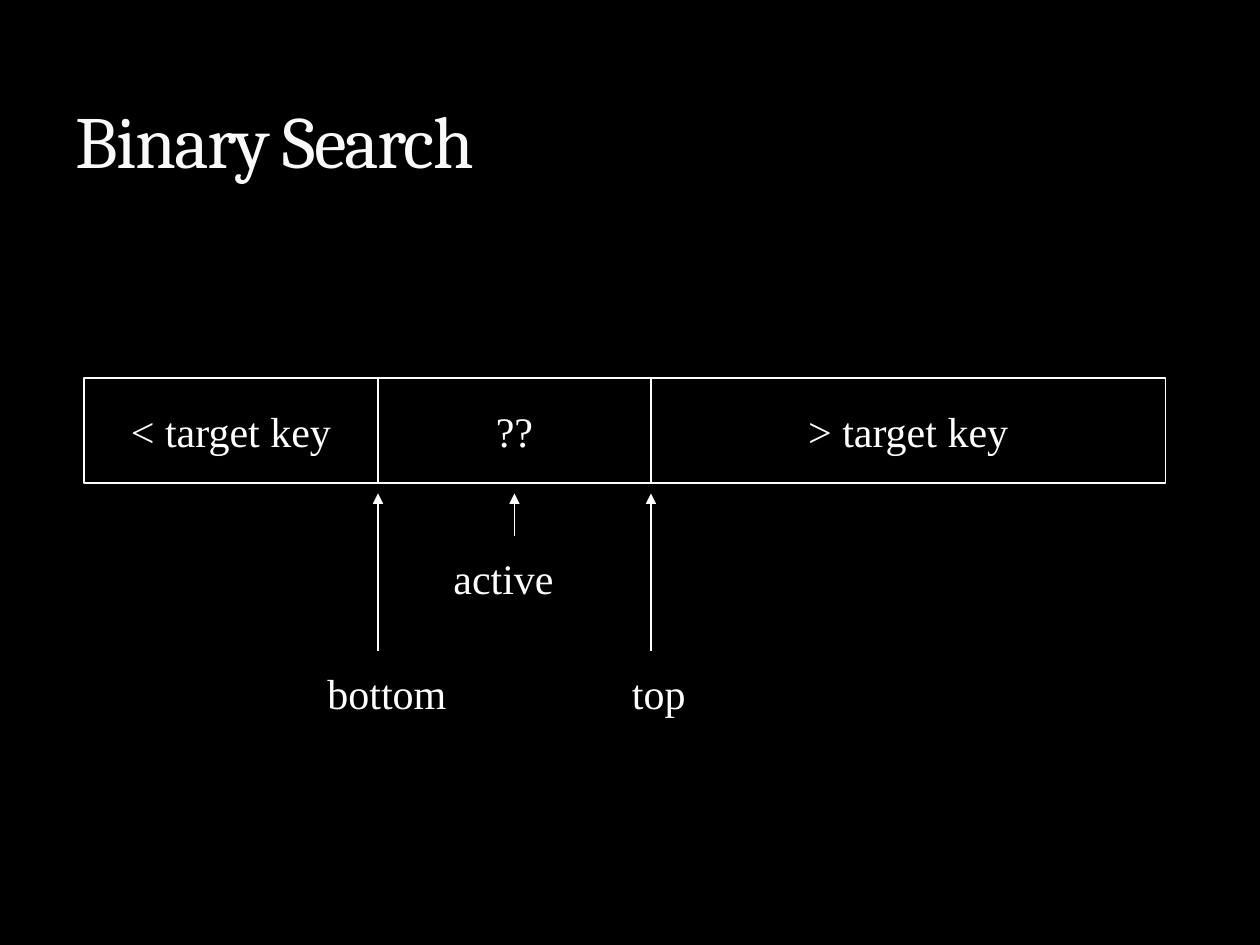
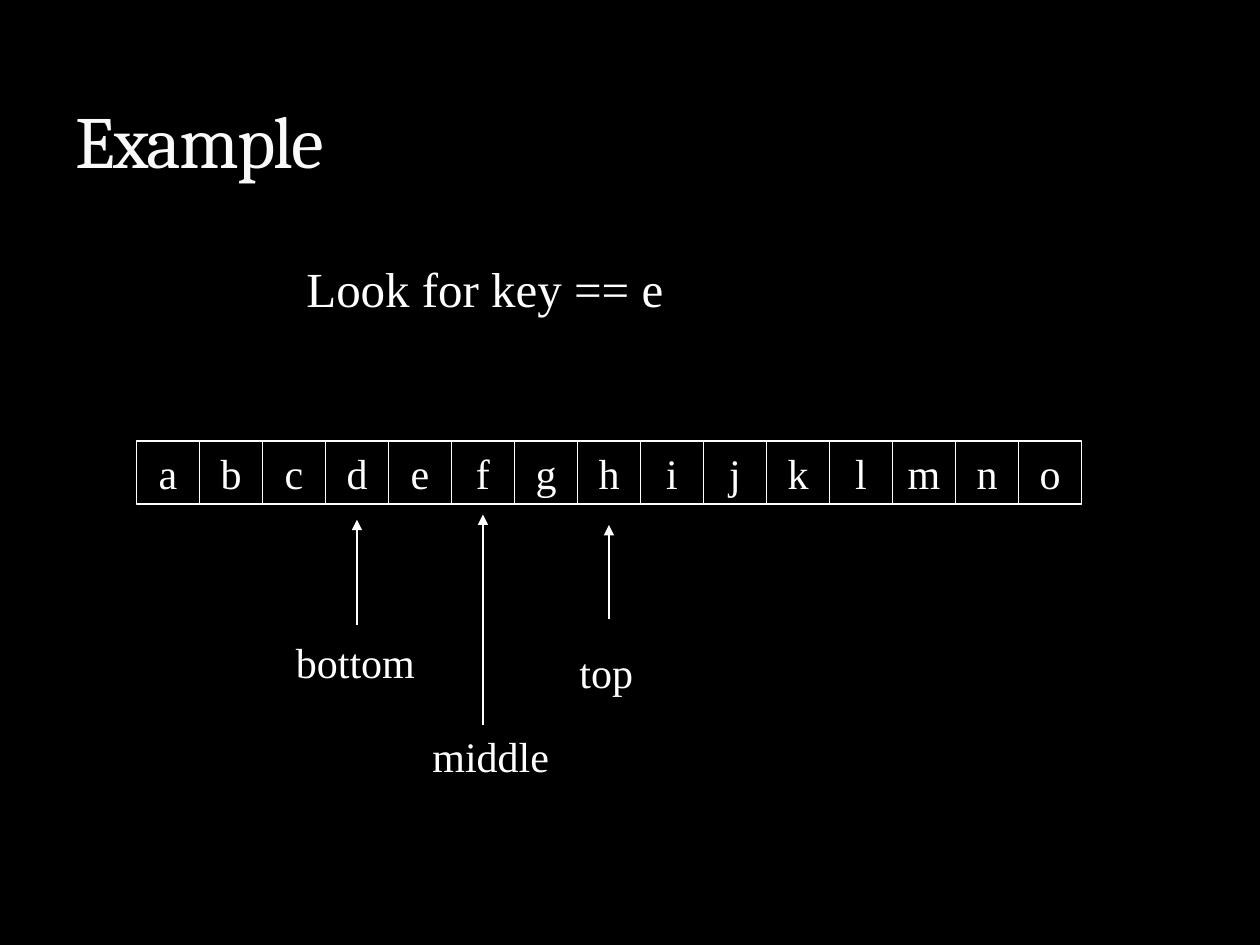
from lxml import etree
from pptx import Presentation
from pptx.dml.color import RGBColor as RGB
from pptx.enum.shapes import MSO_CONNECTOR as CONN, MSO_SHAPE as SHAPE
from pptx.enum.text import MSO_ANCHOR as ANCHOR, MSO_AUTO_SIZE as AUTO, PP_ALIGN as ALIGN
from pptx.oxml.ns import qn
from pptx.util import Pt

COLORS = {"back": "000000", "ink": "FFFFFF", "title": "F9F9F9", "outline": "3C4422"}
LABEL_WIDTHS = {"bottom": 84, "top": 46, "active": 73, "middle": 82}


def rgb(name):
    return RGB.from_string(COLORS[name])


def write(tf, text, size=24, font="Times New Roman", color="ink",
          align=ALIGN.LEFT, anchor=ANCHOR.TOP, wrap=False, auto=AUTO.NONE):
    """Fill a text frame with one formatted run and return the run."""
    tf.word_wrap = wrap
    tf.auto_size = auto
    tf.vertical_anchor = anchor
    p = tf.paragraphs[0]
    p.alignment = align
    r = p.add_run()
    r.text = text
    r.font.size = Pt(size)
    r.font.name = font
    r.font.color.rgb = rgb(color)
    return r


def outline(r, spacing=-1, width=0.25, alpha=25):
    """Give a run letter spacing and a faint text outline."""
    rpr = r._r.get_or_add_rPr()
    rpr.set("spc", str(spacing * 100))
    ln = etree.Element(qn("a:ln"), w=str(Pt(width)))
    fill = etree.SubElement(ln, qn("a:solidFill"))
    clr = etree.SubElement(fill, qn("a:srgbClr"), val=COLORS["outline"])
    etree.SubElement(clr, qn("a:alpha"), val=str(alpha * 1000))
    rpr.insert(0, ln)


class Deck:
    def __init__(self):
        self.prs = Presentation()
        self.prs.slide_width, self.prs.slide_height = Pt(720), Pt(540)
        fill = self.prs.slide_master.background.fill
        fill.solid()
        fill.fore_color.rgb = rgb("back")
        self.line_width = Pt(0.75)

    def slide(self, title):
        self.s = self.prs.slides.add_slide(self.prs.slide_layouts[5])
        sp = self.s.shapes.title
        sp.left, sp.top, sp.width, sp.height = Pt(36), Pt(12.5), Pt(648), Pt(96)
        outline(write(sp.text_frame, title, size=42, font="Cambria", color="title",
                      anchor=ANCHOR.BOTTOM, wrap=True))

    def stroke(self, line):
        line.color.rgb = rgb("ink")
        line.width = self.line_width

    def cell(self, text, x, y, w, h):
        sp = self.s.shapes.add_shape(SHAPE.RECTANGLE, Pt(x), Pt(y), Pt(w), Pt(h))
        sp.shadow.inherit = False
        sp.fill.solid()
        sp.fill.fore_color.rgb = rgb("back")
        self.stroke(sp.line)
        write(sp.text_frame, text, align=ALIGN.CENTER, anchor=ANCHOR.MIDDLE)

    def label(self, text, x, y, w, h=36, size=24):
        sp = self.s.shapes.add_textbox(Pt(x), Pt(y), Pt(w), Pt(h))
        write(sp.text_frame, text, size=size, auto=AUTO.SHAPE_TO_FIT_TEXT)

    def arrow_up(self, x, y_from, y_to):
        cn = self.s.shapes.add_connector(CONN.STRAIGHT, Pt(x), Pt(y_from), Pt(x), Pt(y_to))
        self.stroke(cn.line)
        etree.SubElement(cn.line._get_or_add_ln(), qn("a:tailEnd"), type="triangle")
        etree.SubElement(cn._element.spPr, qn("a:effectLst"))

    def pointer(self, text, label_x, label_y, x, y_from, y_to):
        """Draw a named index below the array and its arrow."""
        self.label(text, label_x, label_y, LABEL_WIDTHS[text])
        self.arrow_up(x, y_from, y_to)


def binary_search(deck):
    deck.slide("Binary Search")
    left, bottom, top, right = 48, 216, 372, 666
    for text, start, end in (("< target key", left, bottom),
                             ("> target key", top, right),
                             ("??", bottom, top)):
        deck.cell(text, start, 216, end - start, 60)
    for text, label_x, label_y, x, y_from in (
            ("bottom", 180, 378, bottom, 372),
            ("top", 354, 378, top, 372),
            ("active", 252, 312, (bottom + top) / 2, 306)):
        deck.pointer(text, label_x, label_y, x, y_from, 282)


def example(deck):
    deck.slide("Example")
    keys, left, side = "abcdefghijklmno", 78, 36
    for i, key in enumerate(keys):
        deck.cell(key, left + i * side, 252, side, side)
    deck.label("Look for key == e", 168, 144, 223, h=41, size=28)
    for text, label_x, label_y, key, y_from, y_to in (
            ("bottom", 162, 360, "d", 357, 297),
            ("top", 324, 366, "h", 354, 300),
            ("middle", 240, 414, "f", 414, 294)):
        x = left + (keys.index(key) + 0.5) * side
        deck.pointer(text, label_x, label_y, x, y_from, y_to)


def main():
    deck = Deck()
    binary_search(deck)
    example(deck)
    deck.prs.save("out.pptx")


if __name__ == "__main__":
    main()
